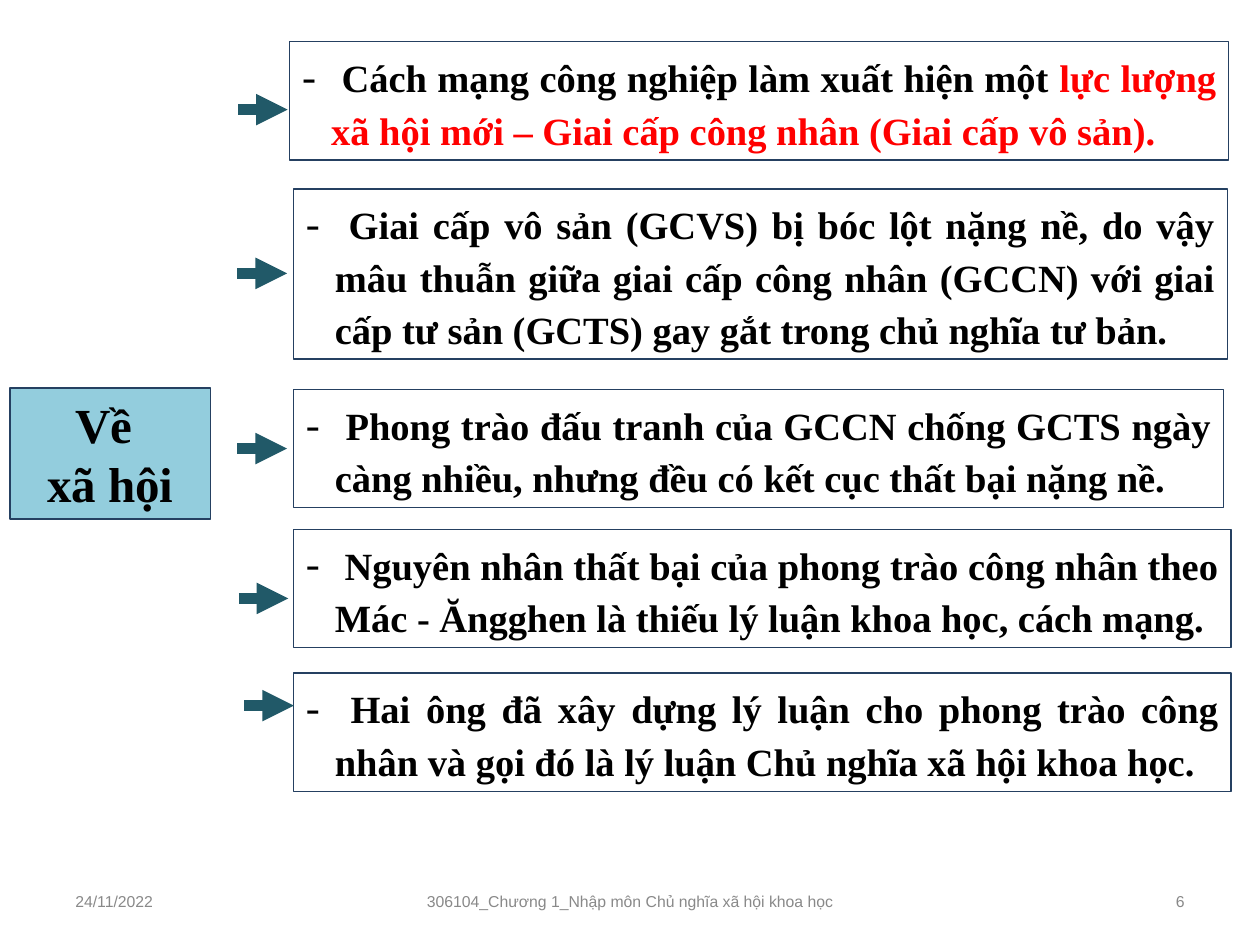
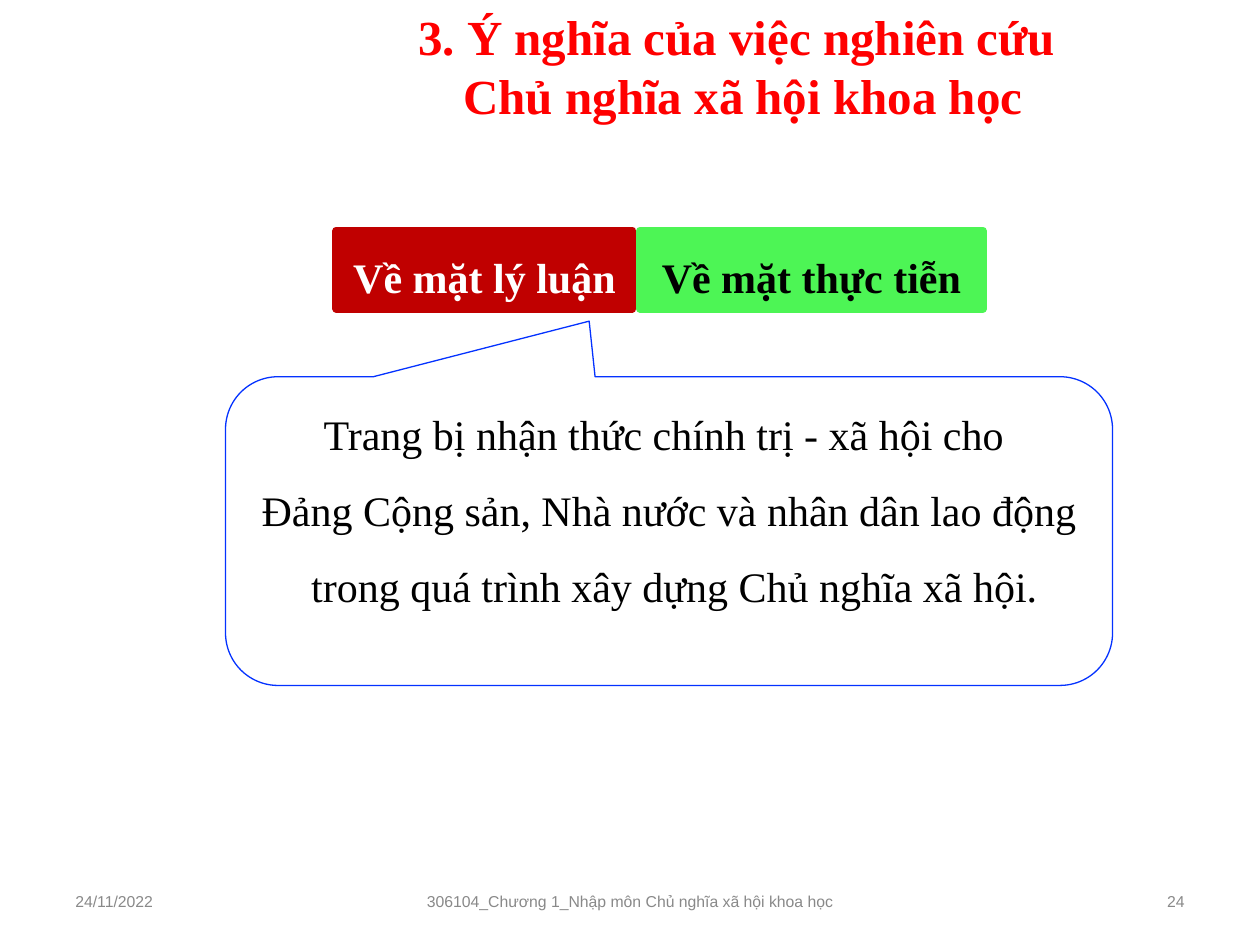
from lxml.etree import SubElement
from pptx import Presentation
from pptx.dml.color import RGBColor
from pptx.enum.shapes import MSO_CONNECTOR, MSO_SHAPE
from pptx.enum.text import MSO_ANCHOR, PP_ALIGN
from pptx.oxml.ns import qn
from pptx.util import Inches, Pt

SERIF, SANS = "Times New Roman", "Arial"
BLACK, WHITE, RED, GREY = "000000", "FFFFFF", "FF0000", "898989"
NAVY, TEAL, SKY = "254061", "215968", "93CDDD"
CRIMSON, GREEN, BLUE = "C00000", "4DF555", "0432FF"

deck = Presentation()
deck.slide_width, deck.slide_height = Inches(10), Inches(7.5)
# One column is 1 % of the slide's width, one row 1 % of its height.
COLUMN, ROW = deck.slide_width / 100, deck.slide_height / 100


def add_box(page, area, kind=None, fill=None, line=None, weight=0.75):
    """Add a shape, or a text box if kind is None; area is in columns and rows."""
    left, top, width, height = area
    place = [round(n) for n in (left * COLUMN, top * ROW, width * COLUMN, height * ROW)]
    if kind is None:
        return page.shapes.add_textbox(*place)
    box = page.shapes.add_shape(kind, *place)
    box.shadow.inherit = False
    if fill:
        box.fill.solid()
        box.fill.fore_color.rgb = RGBColor.from_string(fill)
    else:
        box.fill.background()
    box.line.color.rgb = RGBColor.from_string(line)
    box.line.width = Pt(weight)
    return box


def write(box, lines, size, color=BLACK, name=SERIF, bold=True,
          anchor=MSO_ANCHOR.TOP, bullet=None, **layout):
    """Fill a shape; each line is a list of (text, colour) spans or a string."""
    frame = box.text_frame
    frame.word_wrap = True
    frame.vertical_anchor = anchor
    for index, line in enumerate(lines):
        para = frame.add_paragraph() if index else frame.paragraphs[0]
        for key, value in ({"alignment": PP_ALIGN.CENTER} | layout).items():
            if index or key != "space_before":
                setattr(para, key, value)
        if bullet:
            props = para._p.get_or_add_pPr()
            props.set("marL", str(Inches(0.23)))
            props.set("indent", str(-Inches(0.23)))
            tint = SubElement(props, qn("a:buClr"))
            SubElement(tint, qn("a:srgbClr"), val=color)
            SubElement(props, qn("a:buSzPct"), val="109000")
            SubElement(props, qn("a:buFont"), typeface=name)
            SubElement(props, qn("a:buChar"), char=bullet)
        for text, tone in [(line, color)] if isinstance(line, str) else line:
            span = para.add_run()
            span.text = text
            for key, value in {"size": Pt(size), "name": name, "bold": bold}.items():
                setattr(span.font, key, value)
            span.font.color.rgb = RGBColor.from_string(tone)


# Slide about society: a label, arrows and five statements
society = deck.slides.add_slide(deck.slide_layouts[6])
label = add_box(society, (0.8, 41.07, 15.9, 13.87), MSO_SHAPE.RECTANGLE, SKY, NAVY)
write(label, ["Về ", "xã hội"], 28)

# left, top, width, height, arrow start, arrow row, spans
statements = [
    (23, 4.4, 74.5, 12.53, 18.9, 11.6,
     [(" Cách mạng công nghiệp làm xuất hiện một ", BLACK),
      ("lực lượng xã hội mới – Giai cấp công nhân (Giai cấp vô sản).", RED)]),
    (23.3, 20, 74.1, 18, 18.85, 28.93,
     " Giai cấp vô sản (GCVS) bị bóc lột nặng nề, do vậy mâu thuẫn giữa giai cấp "
     "công nhân (GCCN) với giai cấp tư sản (GCTS) gay gắt trong chủ nghĩa tư bản."),
    (23.3, 41.2, 73.8, 12.53, 18.85, 47.47,
     " Phong trào đấu tranh của GCCN chống GCTS ngày càng nhiều, "
     "nhưng đều có kết cục thất bại nặng nề."),
    (23.3, 56, 74.4, 12.53, 18.95, 63.33,
     " Nguyên nhân thất bại của phong trào công nhân theo Mác - Ăngghen "
     "là thiếu lý luận khoa học, cách mạng."),
    (23.3, 71.2, 74.4, 12.53, 19.4, 74.67,
     " Hai ông đã xây dựng lý luận cho phong trào công nhân "
     "và gọi đó là lý luận Chủ nghĩa xã hội khoa học."),
]
ARROW_LENGTH = 3.93
for *area, start, row, spans in statements:
    statement = add_box(society, area, MSO_SHAPE.RECTANGLE, line=NAVY)
    write(statement, [spans], 22, bullet="-",
          alignment=PP_ALIGN.JUSTIFY, line_spacing=Pt(30))
    arrow = society.shapes.add_connector(
        MSO_CONNECTOR.STRAIGHT, round(start * COLUMN), round(row * ROW),
        round((start + ARROW_LENGTH) * COLUMN), round(row * ROW))
    arrow.line.color.rgb = RGBColor.from_string(TEAL)
    arrow.line.width = Pt(6)
    SubElement(arrow.line._get_or_add_ln(), qn("a:tailEnd"), type="triangle")
    SubElement(arrow._element.spPr, qn("a:effectLst"))

# Slide about meaning: a title, two aspects and a callout
meaning = deck.slides.add_slide(deck.slide_layouts[5])
title = meaning.shapes.title
title.left, title.top = round(17.9 * COLUMN), 0
title.width, title.height = round(82.1 * COLUMN), round(13.87 * ROW)
write(title, ["3. Ý nghĩa của việc nghiên cứu ", "Chủ nghĩa xã hội khoa học"], 28, RED)

for left, width, fill, color, text in [
    (26.7, 23.5, CRIMSON, WHITE, "Về mặt lý luận"),
    (50.8, 27.2, GREEN, BLACK, "Về mặt thực tiễn"),
]:
    aspect = add_box(meaning, (left, 24.4, width, 8.27),
                     MSO_SHAPE.RECTANGLE, fill, fill, 4.5)
    write(aspect, [text], 24, color, line_spacing=1.3)

callout = add_box(meaning, (17.9, 39.87, 70.4, 32.67),
                  MSO_SHAPE.ROUNDED_RECTANGULAR_CALLOUT, line=BLUE)
for index, value in enumerate((-0.09, -0.68, 0.17)):
    callout.adjustments[index] = value
write(callout, ["Trang bị nhận thức chính trị - xã hội cho ",
                "Đảng Cộng sản, Nhà nước và nhân dân lao động",
                " trong quá trình xây dựng Chủ nghĩa xã hội."],
      24, bold=False, line_spacing=1.2, space_before=Pt(9))

# Footer shared by both slides
for page, number in ((society, "6"), (meaning, "24")):
    for left, width, alignment, text in [
        (5, 23.3, PP_ALIGN.LEFT, "24/11/2022"),
        (32.5, 35, PP_ALIGN.CENTER, "306104_Chương 1_Nhập môn Chủ nghĩa xã hội khoa học"),
        (71.7, 23.3, PP_ALIGN.RIGHT, number),
    ]:
        footer = add_box(page, (left, 92.67, width, 5.33))
        write(footer, [text], 9, GREY, SANS, False, MSO_ANCHOR.MIDDLE, alignment=alignment)

deck.save("out.pptx")
